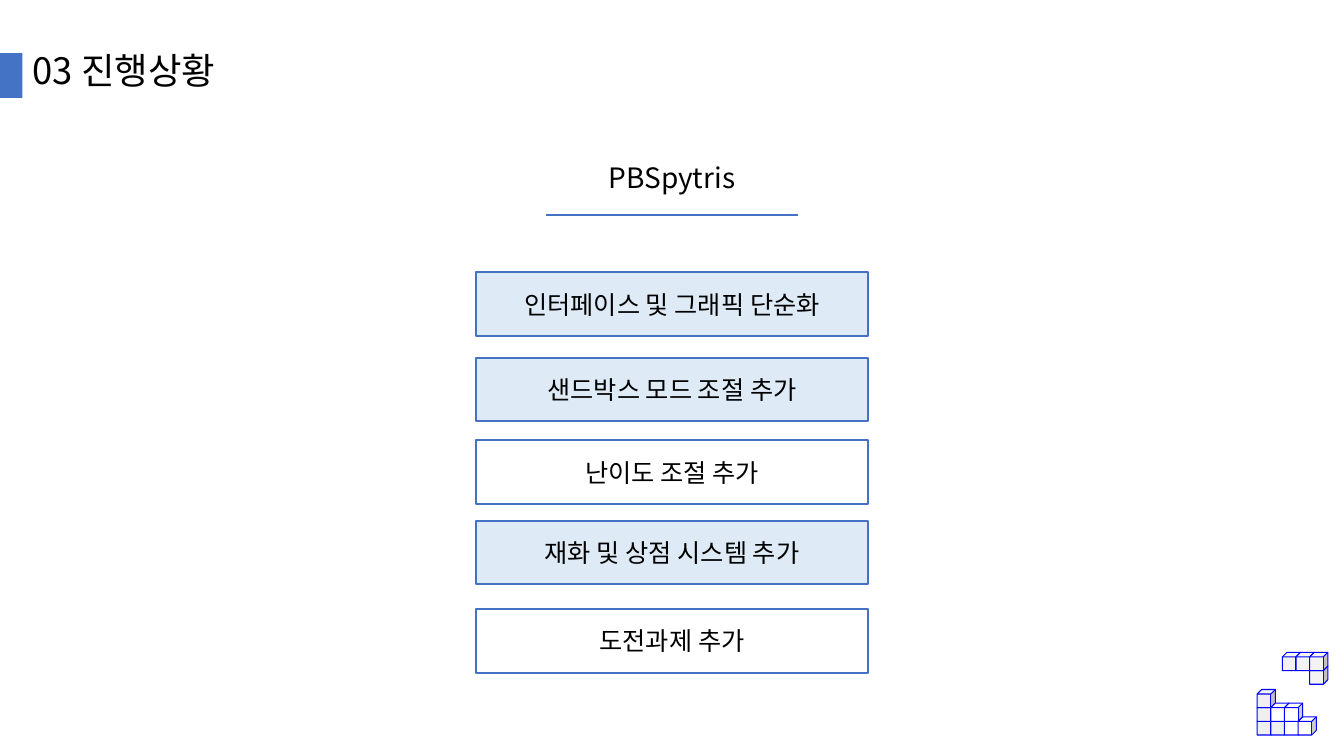
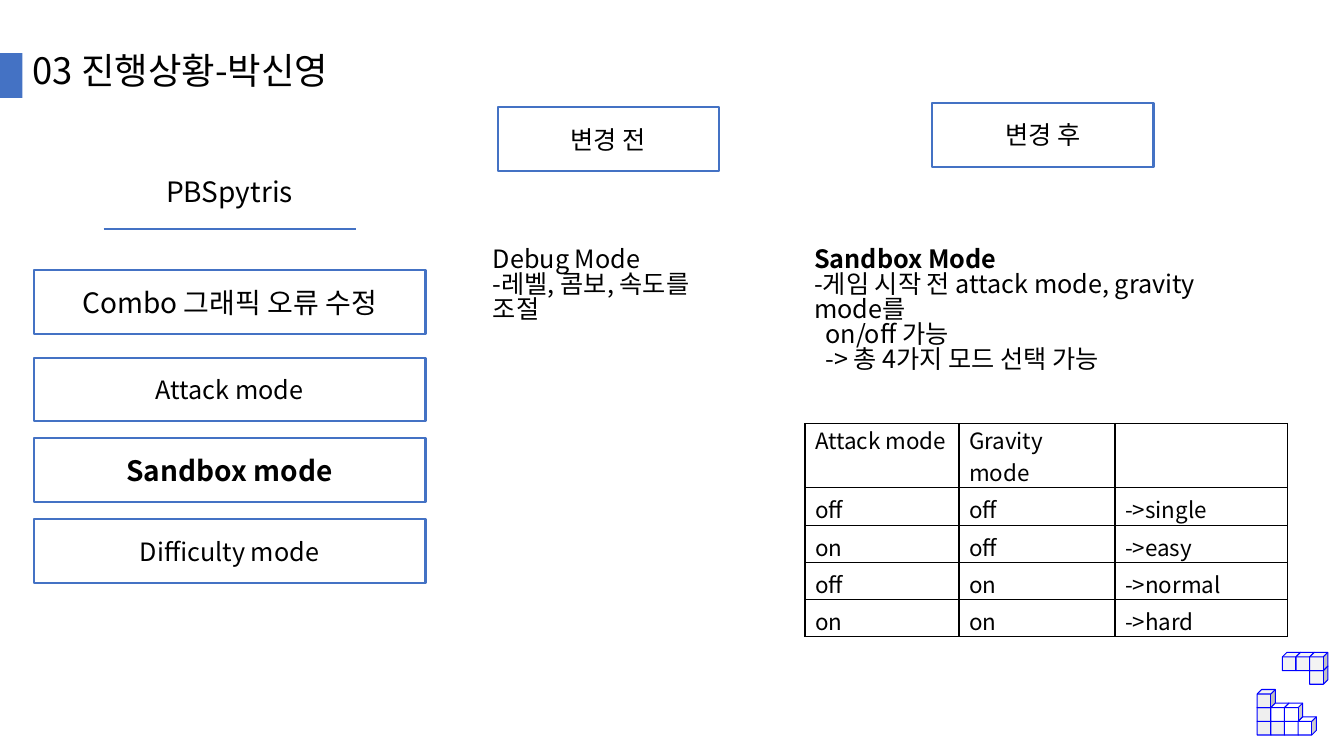
from dataclasses import dataclass
from typing import Optional

from lxml.etree import SubElement
from pptx import Presentation
from pptx.dml.color import RGBColor
from pptx.enum.shapes import MSO_CONNECTOR, MSO_SHAPE
from pptx.enum.text import MSO_ANCHOR as Anchor, MSO_AUTO_SIZE as AutoSize, PP_ALIGN as Align
from pptx.oxml.ns import qn
from pptx.util import Inches, Pt

BLUE = RGBColor(0x44, 0x72, 0xC4)
PALE_BLUE = RGBColor(0xDE, 0xEB, 0xF7)
CUBE_BLUE = RGBColor(0x00, 0x00, 0xFF)
LIGHT_GRAY = RGBColor(0xF3, 0xF3, 0xF3)
MID_GRAY = RGBColor(0xEF, 0xEF, 0xEF)
WHITE = RGBColor(0xFF, 0xFF, 0xFF)
BLACK = RGBColor(0x00, 0x00, 0x00)
FONT = "Noto Sans CJK KR"

SLIDE_WIDTH, SLIDE_HEIGHT = Inches(13.33), Inches(7.5)
GRID_COLUMNS, GRID_ROWS = 96, 54
BOX_WIDTH, BOX_HEIGHT = 28, 4.55
LABEL_WIDTH = 15.8
HEADING_WIDTH, HEADING_HEIGHT, RULE_OFFSET = 18, 3.2, 3.93
CUBE_SIZE = 1.3
CUBE_STEP = CUBE_SIZE * 0.75


@dataclass(frozen=True)
class Line:
    text: str
    size: float = 18
    bold: bool = False
    indent: float = 0


@dataclass(frozen=True)
class Box:
    line: Line
    left: float
    top: float
    width: float = BOX_WIDTH
    fill: Optional[RGBColor] = None


@dataclass(frozen=True)
class Cube:
    column: int
    row: int
    fill: RGBColor


@dataclass(frozen=True)
class Piece:
    left: float
    top: float
    cubes: tuple[Cube, ...]


PIECES = (
    Piece(91.6, 46.6, tuple(Cube(column, row, LIGHT_GRAY)
                            for column, row in ((0, 0), (1, 0), (2, 1), (2, 0)))),
    Piece(89.8, 49.25, (
        Cube(0, 2, MID_GRAY), Cube(0, 1, MID_GRAY), Cube(1, 2, MID_GRAY),
        Cube(0, 0, MID_GRAY), Cube(1, 1, WHITE), Cube(2, 2, WHITE),
        Cube(3, 2, WHITE), Cube(2, 1, WHITE))),
)

PROGRESS_BOXES = (
    Box(Line("인터페이스 및 그래픽 단순화"), 34, 19.45, fill=PALE_BLUE),
    Box(Line("샌드박스 모드 조절 추가"), 34, 25.55, fill=PALE_BLUE),
    Box(Line("난이도 조절 추가"), 34, 31.45),
    Box(Line("재화 및 상점 시스템 추가"), 34, 37.2, fill=PALE_BLUE),
    Box(Line("도전과제 추가"), 34, 43.5),
)
MODE_BOXES = (
    Box(Line("Combo 그래픽 오류 수정", 20), 2.4, 19.3),
    Box(Line("Attack mode"), 2.4, 25.55),
    Box(Line("Sandbox mode", 20, True), 2.4, 31.3),
    Box(Line("Difficulty mode"), 2.4, 37.1),
    Box(Line("변경 전"), 35.55, 7.65, LABEL_WIDTH),
    Box(Line("변경 후"), 66.6, 7.35, LABEL_WIDTH),
)
BEFORE_LINES = (Line("Debug Mode"), Line("-레벨, 콤보, 속도를 조절"))
AFTER_LINES = (
    Line("Sandbox Mode", bold=True),
    Line("-게임 시작 전 attack mode, gravity mode를"),
    Line("on/off 가능", indent=0.8),
    Line("-> 총 4가지 모드 선택 가능", indent=0.8),
)
MODE_TABLE = (
    ("Attack mode", "Gravity mode", ""),
    ("off", "off", "->single"),
    ("on", "off", "->easy"),
    ("off", "on", "->normal"),
    ("on", "on", "->hard"),
)
TABLE_COLUMNS = (11, 11.15, 12.3)
TABLE_ROWS = (4.6,) + (2.66,) * 4


def across(columns: float) -> int:
    return round(SLIDE_WIDTH * columns / GRID_COLUMNS)


def down(rows: float) -> int:
    return round(SLIDE_HEIGHT * rows / GRID_ROWS)


def area(left: float, top: float, width: float, height: float) -> tuple[int, ...]:
    return across(left), down(top), across(width), down(height)


def write(frame, lines, align=Align.LEFT, spacing: float = 1.0) -> None:
    frame.word_wrap = True
    for index, line in enumerate(lines):
        paragraph = frame.add_paragraph() if index else frame.paragraphs[0]
        paragraph.alignment = align
        paragraph.line_spacing = spacing
        if line.indent:
            paragraph._p.get_or_add_pPr().set("marL", str(across(line.indent)))
        run = paragraph.add_run()
        run.text = line.text
        font_format = {"name": FONT, "size": Pt(line.size), "bold": line.bold}
        for name, value in font_format.items():
            setattr(run.font, name, value)
        run.font.color.rgb = BLACK
        SubElement(run._r.get_or_add_rPr(), qn("a:ea"), typeface=FONT)


def add_text(slide, lines, place: tuple[int, ...], align=Align.LEFT,
             spacing: float = 0.83) -> None:
    write(slide.shapes.add_textbox(*place).text_frame, lines, align, spacing)


def add_preset(shapes, kind, place: tuple[int, ...], fill: Optional[RGBColor],
               outline: Optional[RGBColor] = None, weight: float = 1.5):
    shape = shapes.add_shape(kind, *place)
    shape.shadow.inherit = False
    if fill is None:
        shape.fill.background()
    else:
        shape.fill.solid()
        shape.fill.fore_color.rgb = fill
    if outline is None:
        shape.line.fill.background()
    else:
        shape.line.color.rgb = outline
        shape.line.width = Pt(weight)
    return shape


def add_box(slide, box: Box) -> None:
    place = area(box.left, box.top, box.width, BOX_HEIGHT)
    shape = add_preset(slide.shapes, MSO_SHAPE.RECTANGLE, place, box.fill, BLUE)
    shape.text_frame.vertical_anchor = Anchor.MIDDLE
    write(shape.text_frame, [box.line], Align.CENTER)


def add_heading(slide, text: str, left: float, top: float) -> None:
    """Add a centred heading with a rule under it."""
    rule_top = down(top + RULE_OFFSET)
    rule = slide.shapes.add_connector(MSO_CONNECTOR.STRAIGHT, across(left), rule_top,
                                      across(left + HEADING_WIDTH), rule_top)
    rule.line.color.rgb = BLUE
    rule.line.width = Pt(1.5)
    SubElement(rule._element.spPr, qn("a:effectLst"))
    add_text(slide, [Line(text, 20)], area(left, top, HEADING_WIDTH, HEADING_HEIGHT),
             Align.CENTER, 0.88)


def add_piece(slide, piece: Piece) -> None:
    group = slide.shapes.add_group_shape()
    for cube in piece.cubes:
        place = area(piece.left + cube.column * CUBE_STEP,
                     piece.top + cube.row * CUBE_STEP, CUBE_SIZE, CUBE_SIZE)
        add_preset(group.shapes, MSO_SHAPE.CUBE, place, cube.fill, CUBE_BLUE, 0.75)


def add_border(cell) -> None:
    properties = cell._tc.get_or_add_tcPr()
    for index, side in enumerate(("lnL", "lnR", "lnT", "lnB")):
        border = SubElement(properties, qn(f"a:{side}"), w=str(Pt(1)))
        fill = SubElement(border, qn("a:solidFill"))
        SubElement(fill, qn("a:srgbClr"), val=str(BLACK))
        properties.insert(index, border)


def add_mode_table(slide, left: float, top: float) -> None:
    place = area(left, top, sum(TABLE_COLUMNS), sum(TABLE_ROWS))
    table = slide.shapes.add_table(len(TABLE_ROWS), len(TABLE_COLUMNS), *place).table
    table.first_row = table.horz_banding = False
    for column, width in zip(table.columns, TABLE_COLUMNS):
        column.width = across(width)
    for index, (row, height) in enumerate(zip(table.rows, TABLE_ROWS)):
        row.height = down(height)
        for cell, text in zip(row.cells, MODE_TABLE[index]):
            cell.margin_top = Inches(0.05 if index else 0)
            cell.margin_bottom = 0
            cell.fill.background()
            add_border(cell)
            if text:
                write(cell.text_frame, [Line(text, 16)])


def add_titled_slide(presentation, text: str):
    """Add a slide with the shared title, band and cube pieces."""
    slide = presentation.slides.add_slide(presentation.slide_layouts[5])
    add_preset(slide.shapes, MSO_SHAPE.RECTANGLE, area(0, 3.8, 1.6, 3.2), BLUE)
    title = slide.shapes.title
    title.left, title.top, title.width, title.height = area(1.6, 3.46, 48, 3.9)
    title.text_frame.auto_size = AutoSize.NONE
    title.text_frame.vertical_anchor = Anchor.TOP
    write(title.text_frame, [Line(text, 26)], spacing=0.88)
    for piece in PIECES:
        add_piece(slide, piece)
    return slide


def add_progress_slide(presentation) -> None:
    slide = add_titled_slide(presentation, "03 진행상황")
    add_heading(slide, "PBSpytris", 39, 11.45)
    for box in PROGRESS_BOXES:
        add_box(slide, box)


def add_mode_slide(presentation) -> None:
    slide = add_titled_slide(presentation, "03 진행상황-박신영")
    add_heading(slide, "PBSpytris", 7.4, 12.45)
    for box in MODE_BOXES:
        add_box(slide, box)
    add_text(slide, BEFORE_LINES, area(34.5, 17.4, 18.65, 5.1))
    add_text(slide, AFTER_LINES, area(57.45, 17.4, 33.9, 9.45))
    add_mode_table(slide, 57.5, 30.25)


def main() -> None:
    presentation = Presentation()
    presentation.slide_width, presentation.slide_height = SLIDE_WIDTH, SLIDE_HEIGHT
    add_progress_slide(presentation)
    add_mode_slide(presentation)
    presentation.save("out.pptx")


if __name__ == "__main__":
    main()
